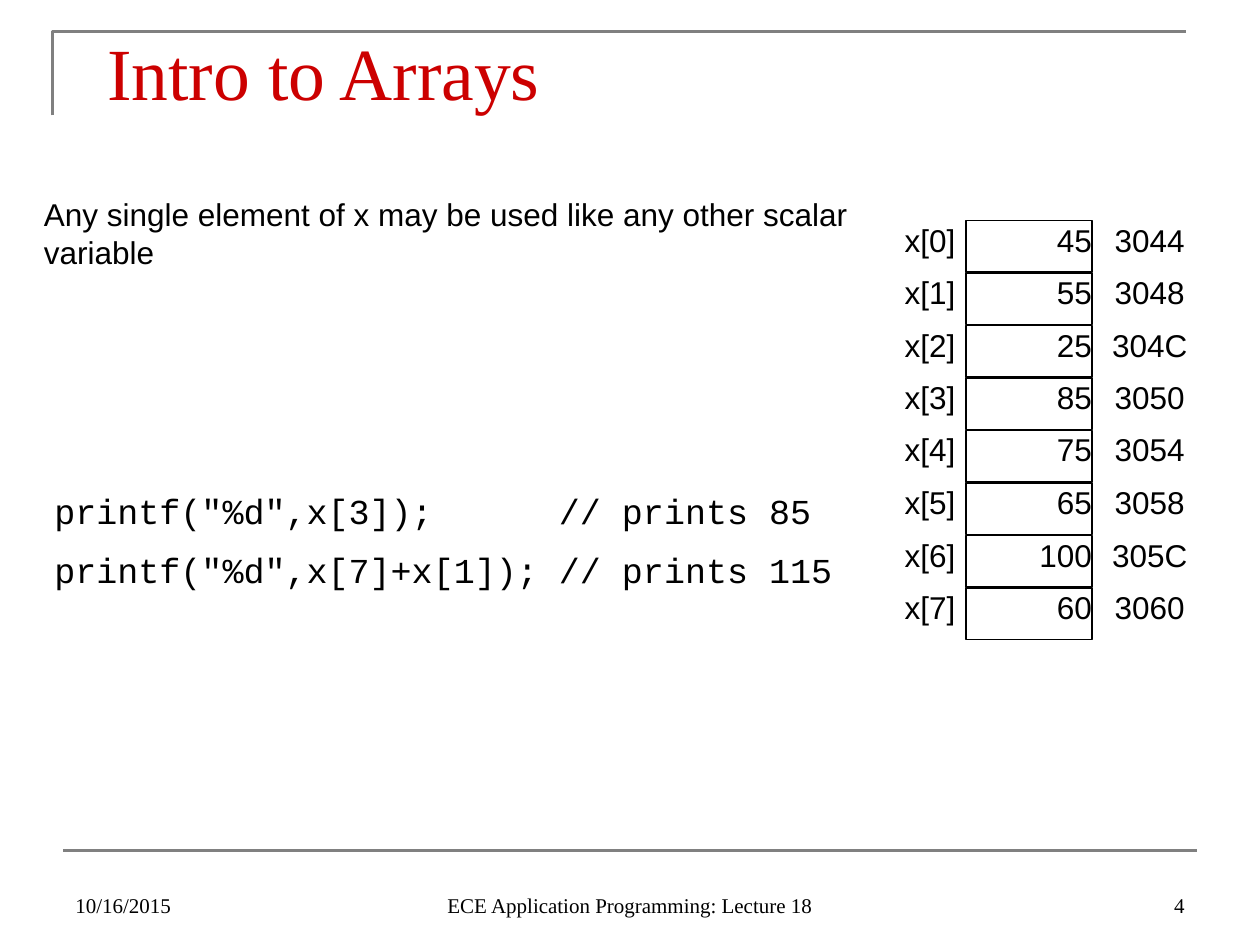
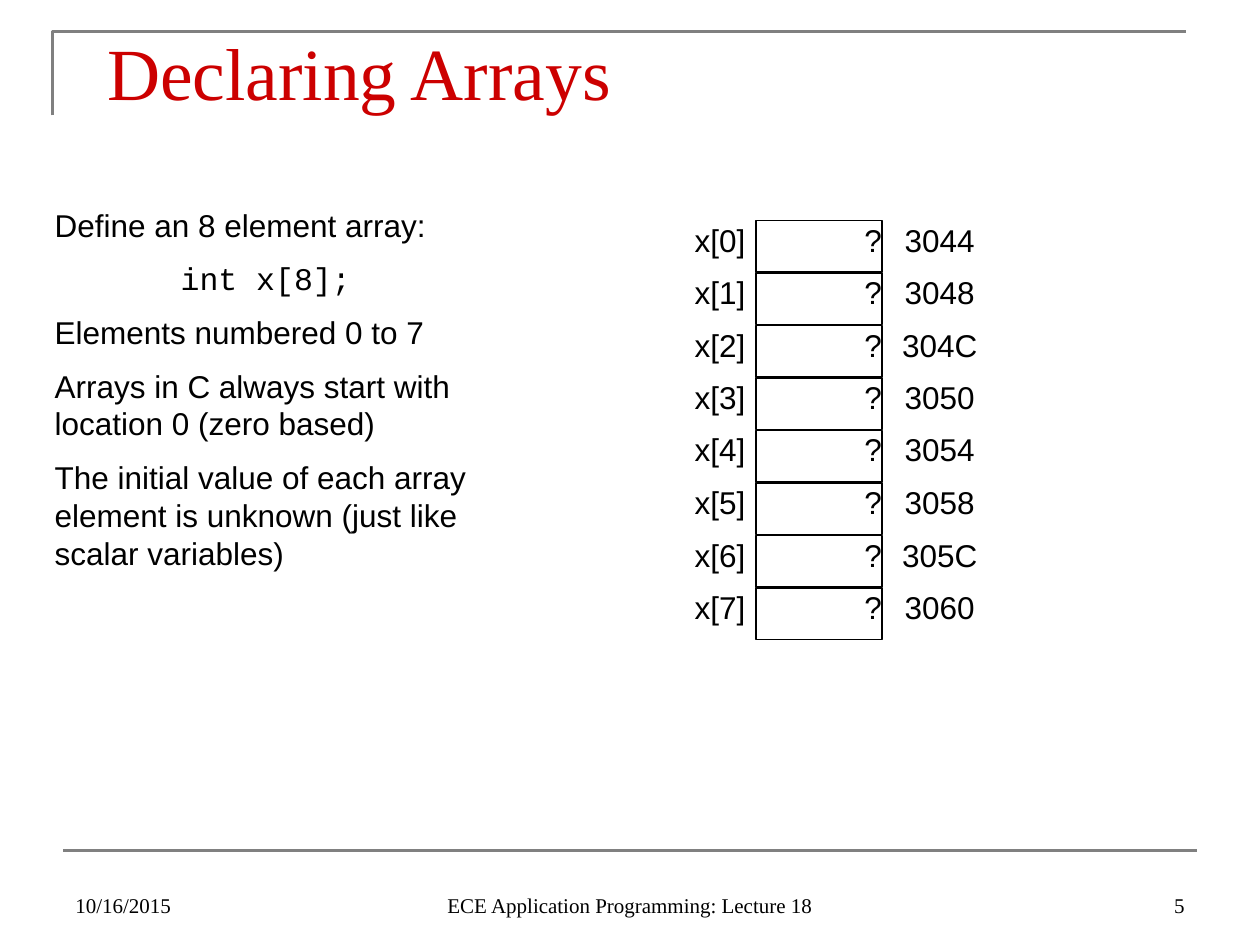
from lxml.etree import SubElement
from pptx import Presentation
from pptx.dml.color import RGBColor
from pptx.enum.shapes import MSO_CONNECTOR, MSO_SHAPE
from pptx.enum.text import MSO_ANCHOR, MSO_AUTO_SIZE, PP_ALIGN
from pptx.oxml.ns import qn
from pptx.util import Pt

COLORS = {"title": "CC0000", "ink": "000000", "rule": "808080"}
SANS, SERIF, MONO = "Arial", "Times New Roman", "Courier New"
LEFT, MID, RIGHT = PP_ALIGN.LEFT, PP_ALIGN.CENTER, PP_ALIGN.RIGHT
TOP, BOTTOM = MSO_ANCHOR.TOP, MSO_ANCHOR.BOTTOM
PLACES = ["3044", "3048", "304C", "3050", "3054", "3058", "305C", "3060"]


def color(key):
    return RGBColor.from_string(COLORS[key])


def write(shape, text, size=18, font=SANS, ink="ink", align=LEFT,
          anchor=TOP, pad=(7.2, 3.6), code=()):
    """Fill a shape with one paragraph per line; lines in code are indented."""
    frame = shape.text_frame
    frame.word_wrap = True
    frame.auto_size = MSO_AUTO_SIZE.NONE
    frame.vertical_anchor = anchor
    frame.margin_left = frame.margin_right = Pt(pad[0])
    frame.margin_top = frame.margin_bottom = Pt(pad[1])
    for i, line in enumerate(text.split("\n")):
        para = frame.paragraphs[0] if i == 0 else frame.add_paragraph()
        props = para._p.get_or_add_pPr()
        props.set("marL", str(Pt(72 if i in code else 0)))
        props.set("indent", "0")
        SubElement(props, qn("a:buNone"))
        para.alignment = align
        para.space_before = Pt(size / 2 if i else 0)
        run = para.add_run()
        run.text = line
        run.font.size = Pt(size)
        run.font.name = MONO if i in code else font
        run.font.color.rgb = color(ink)


def place(shape, *box):
    shape.left, shape.top, shape.width, shape.height = map(Pt, box)


def label(slide, text, box, **form):
    write(slide.shapes.add_textbox(*map(Pt, box)), text, **form)


def cell(slide, text, box, **form):
    rect = slide.shapes.add_shape(MSO_SHAPE.RECTANGLE, *map(Pt, box))
    rect.shadow.inherit = False
    rect.fill.background()
    rect.line.color.rgb = color("ink")
    rect.line.width = Pt(0.75)
    write(rect, text, **form)


def rules(slide):
    """Draw the corner line at the top and the line above the footer."""
    path = slide.shapes.build_freeform(Pt(30), Pt(66))
    path.add_line_segments([(Pt(30), Pt(18)), (Pt(678), Pt(18))], close=False)
    corner = path.convert_to_shape()
    corner.shadow.inherit = False
    corner.fill.background()
    base = slide.shapes.add_connector(
        MSO_CONNECTOR.STRAIGHT, Pt(36), Pt(486), Pt(684), Pt(486))
    SubElement(base._element.spPr, qn("a:effectLst"))
    for item in (corner, base):
        item.line.color.rgb = color("rule")
        item.line.width = Pt(1.5)


def footer(slide, number):
    parts = [("10/16/2015", 36, 168, LEFT),
             (str(number), 516, 168, RIGHT),
             ("ECE Application Programming: Lecture 18", 246, 228, MID)]
    for text, left, width, align in parts:
        label(slide, text, (left, 492, width, 36), size=12, font=SERIF,
              align=align, anchor=BOTTOM)


def start(deck, layout, title, number):
    slide = deck.slides.add_slide(deck.slide_layouts[layout])
    for item in list(slide.placeholders):
        if item.placeholder_format.idx >= 10:
            item._element.getparent().remove(item._element)
    rules(slide)
    place(slide.shapes.title, 54, 12, 612, 42)
    write(slide.shapes.title, title, size=42, font=SERIF, ink="title")
    footer(slide, number)
    return slide


def array(slide, left, values):
    """Draw the memory column with names on its left, addresses on its right."""
    for i, (value, address) in enumerate(zip(values, PLACES)):
        top = 126 + 30 * i
        label(slide, f"x[{i}]", (left, top, 66, 29), align=RIGHT, pad=(0, 0))
        cell(slide, value, (left + 72, top, 72, 29.5), align=RIGHT, pad=(0, 0))
        label(slide, address, (left + 144, top, 66, 29), align=MID, pad=(0, 0))


def main():
    deck = Presentation()
    deck.slide_width, deck.slide_height = Pt(720), Pt(540)

    intro = start(deck, 5, "Intro to Arrays", 4)
    array(intro, 480, ["45", "55", "25", "85", "75", "65", "100", "60"])
    label(intro, 'printf("%d",x[3]);      // prints 85\n'
          'printf("%d",x[7]+x[1]); // prints 115',
          (24, 276, 468, 103), size=20, font=MONO)
    label(intro, "Any single element of x may be used like any other scalar "
          "variable", (18, 108, 474, 65))

    declare = start(deck, 1, "Declaring Arrays", 5)
    array(declare, 360, ["?"] * len(PLACES))
    body = declare.placeholders[1]
    place(body, 24, 114, 276, 225)
    write(body, "Define an 8 element array:\n"
          "int x[8];\n"
          "Elements numbered 0 to 7\n"
          "Arrays in C always start with location 0 (zero based)\n"
          "The initial value of each array element is unknown "
          "(just like scalar variables)", code=(1,))

    deck.save("out.pptx")


if __name__ == "__main__":
    main()
